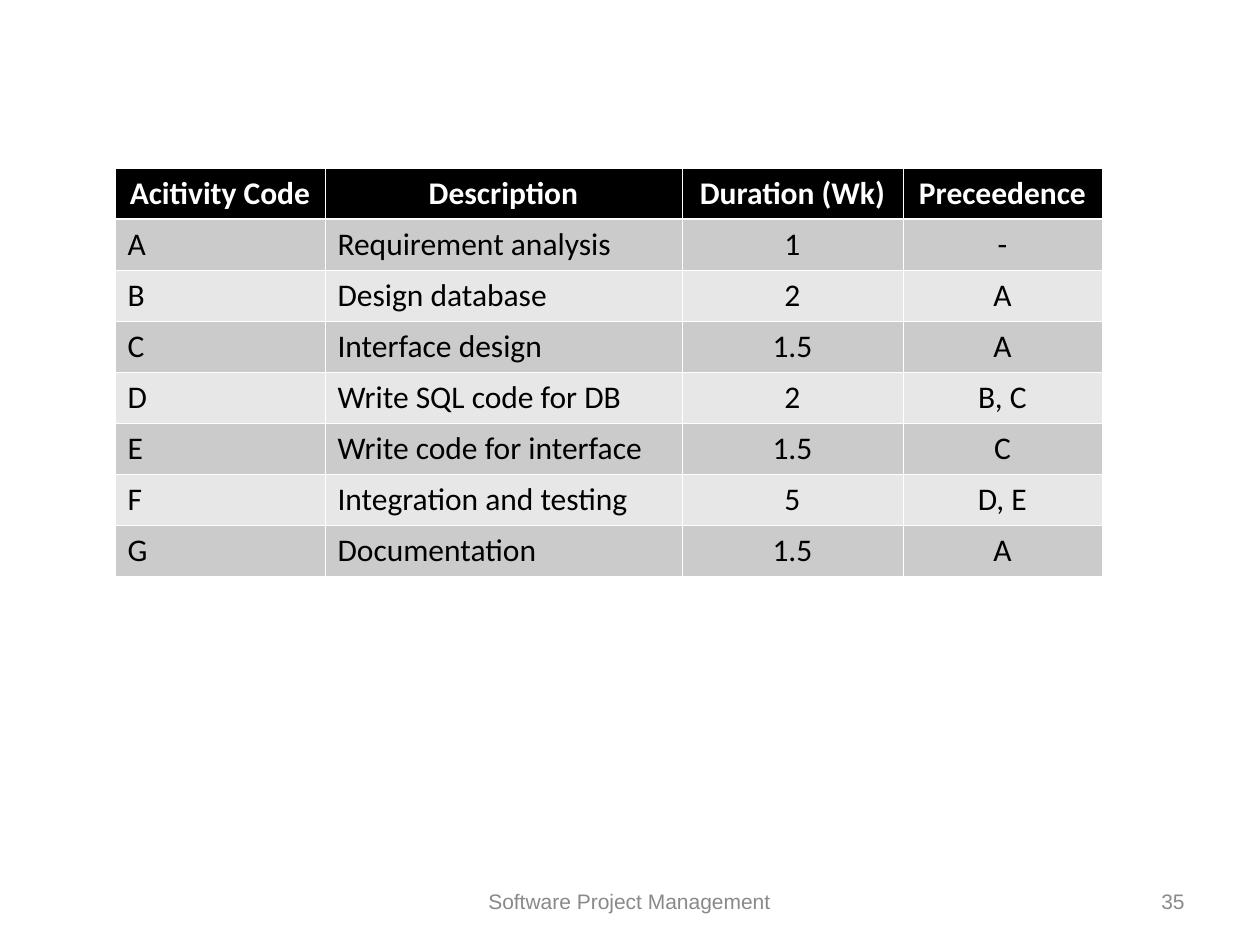
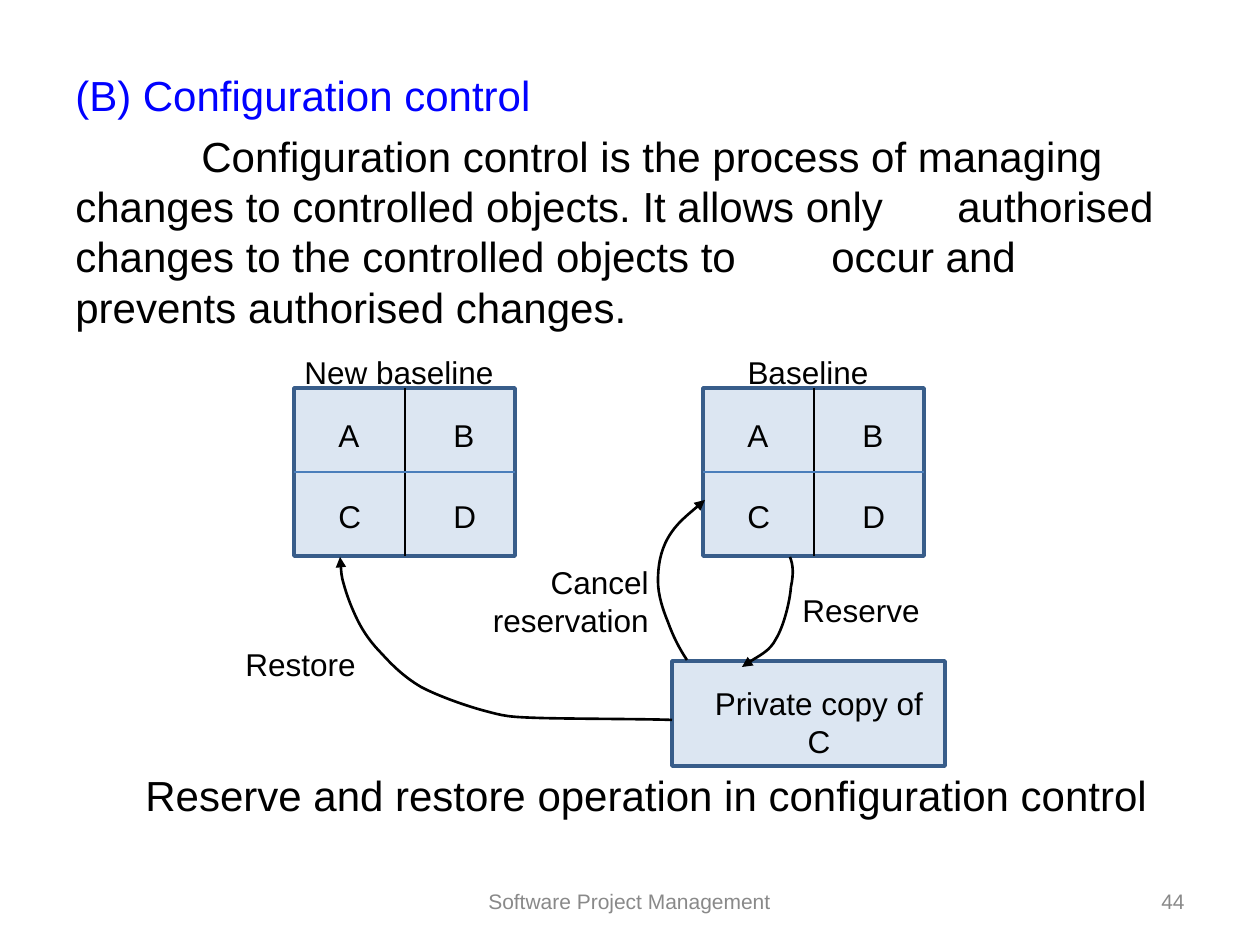
"""Builds two project management slides: an activity table and a configuration control diagram."""
from lxml.etree import SubElement
from pptx import Presentation
from pptx.dml.color import RGBColor
from pptx.enum.shapes import MSO_CONNECTOR as Connector, MSO_SHAPE as Shape
from pptx.enum.text import MSO_ANCHOR as Anchor, PP_ALIGN as Align
from pptx.oxml import parse_xml
from pptx.oxml.ns import nsdecls, qn
from pptx.util import Emu, Pt

PX = 914400 / 126
COLORS = {
    "black": "000000", "white": "FFFFFF", "footer": "898989", "heading": "0101FF",
    "odd_row": "CBCBCB", "even_row": "E7E7E7",
    "box_fill": "DCE6F2", "box_line": "385D8A", "divider": "4A7EBB",
}
FONT, TABLE_FONT = "Arial", "Calibri"
FOOTER = "Software Project Management"

COLUMN_WIDTHS = [210, 357, 221, 199]
ROW_HEIGHT = 51
ACTIVITIES = [
    ("Acitivity Code", "Description", "Duration (Wk)", "Preceedence"),
    ("A", "Requirement analysis", "1", "-"),
    ("B", "Design database", "2", "A"),
    ("C", "Interface design", "1.5", "A"),
    ("D", "Write SQL code for DB", "2", "B, C"),
    ("E", "Write code for interface", "1.5", "C"),
    ("F", "Integration and testing", "5", "D, E"),
    ("G", "Documentation", "1.5", "A"),
]

EXPLANATION = [
    "(B) Configuration control",
    "\tConfiguration control is the process of managing changes to controlled "
    "objects. It allows only\tauthorised changes to the controlled objects "
    "to\toccur and prevents authorised changes.",
    "Reserve and restore operation in configuration control",
]

RESERVE = [(790, 557), (793, 564), (794, 573), (791, 587), (790, 601), (784, 626),
           (776, 639), (770, 651), (753, 659), (742, 667)]
CANCEL = [(687, 660), (679, 648), (673, 636), (668, 622), (663, 610), (658, 595),
          (658, 581), (658, 567), (660, 552), (668, 538), (676, 524), (690, 513),
          (705, 500)]
RESTORE = [(672, 720), (649, 719), (568, 719), (538, 718), (507, 717), (504, 716),
           (485, 711), (466, 706), (438, 696), (421, 687), (404, 677), (392, 665),
           (382, 654), (372, 644), (364, 633), (358, 621), (352, 609), (347, 596),
           (344, 585), (341, 575), (341, 566), (340, 557)]


def px(*lengths):
    return [Emu(round(length * PX)) for length in lengths]


def color(name):
    return RGBColor.from_string(COLORS[name])


def style_runs(paragraph, size, color_name, font=FONT, bold=False):
    for run in paragraph.runs:
        run.font.size = Pt(size)
        run.font.name = font
        run.font.bold = bold
        run.font.color.rgb = color(color_name)


def add_tab_stops(paragraph, count):
    tab_list = SubElement(paragraph._p.get_or_add_pPr(), qn("a:tabLst"))
    for inch in range(1, count + 1):
        SubElement(tab_list, qn("a:tab"), pos=str(inch * 914400), algn="l")


def add_text(slide, text, left, top, width, height, size=18, color_name="black",
             align=Align.LEFT, anchor=Anchor.TOP):
    text_frame = slide.shapes.add_textbox(*px(left, top, width, height)).text_frame
    text_frame.word_wrap = True
    text_frame.vertical_anchor = anchor
    text_frame.text = text
    for paragraph in text_frame.paragraphs:
        paragraph.alignment = align
        paragraph.line_spacing = Pt(round(size * 1.2, 1))
        style_runs(paragraph, size, color_name)
    return text_frame


def add_footer(slide, number):
    for text, left, width, align in ((FOOTER, 430, 399, Align.CENTER),
                                     (str(number), 903, 294, Align.RIGHT)):
        add_text(slide, text, left, 876, width, 50, 12, "footer", align, Anchor.MIDDLE)


def set_borders(cell, row):
    heavy_side = {0: "B", 1: "T"}.get(row)
    properties = cell._tc.get_or_add_tcPr()
    for index, side in enumerate("LRTB"):
        width = Pt(1.47) if side == heavy_side else Pt(0.45)
        properties.insert(index, parse_xml(
            f'<a:ln{side} {nsdecls("a")} w="{width}"><a:solidFill>'
            f'<a:srgbClr val="{COLORS["white"]}"/></a:solidFill></a:ln{side}>'))


def add_activity_table(slide, left, top):
    frame = slide.shapes.add_table(
        len(ACTIVITIES), len(COLUMN_WIDTHS),
        *px(left, top, sum(COLUMN_WIDTHS), ROW_HEIGHT * len(ACTIVITIES)))
    table = frame.table
    for column, width in zip(table.columns, px(*COLUMN_WIDTHS)):
        column.width = width
    for row, values in enumerate(ACTIVITIES):
        table.rows[row].height = px(ROW_HEIGHT)[0]
        header = row == 0
        fill = "black" if header else "odd_row" if row % 2 else "even_row"
        for column, value in enumerate(values):
            cell = table.cell(row, column)
            cell.text_frame.text = value
            paragraph = cell.text_frame.paragraphs[0]
            paragraph.alignment = Align.CENTER if header or column > 1 else Align.LEFT
            style_runs(paragraph, 18, "white" if header else "black", TABLE_FONT, header)
            cell.fill.solid()
            cell.fill.fore_color.rgb = color(fill)
            set_borders(cell, row)


def add_box(slide, left, top, width, height):
    shape = slide.shapes.add_shape(Shape.RECTANGLE, *px(left, top, width, height))
    shape.shadow.inherit = False
    shape.fill.solid()
    shape.fill.fore_color.rgb = color("box_fill")
    shape.line.color.rgb = color("box_line")
    shape.line.width = Pt(2)


def add_line(slide, start, end, color_name):
    line = slide.shapes.add_connector(Connector.STRAIGHT, *px(*start, *end))
    line.line.color.rgb = color(color_name)
    line.line.width = Pt(0.75)
    SubElement(line._element.spPr, qn("a:effectLst"))


def bend_segments(shape):
    """Turn each three line segments of a freeform into one cubic curve."""
    outline = next(shape._element.iter(qn("a:path")))
    segments = outline.findall(qn("a:lnTo"))
    for first in range(0, len(segments), 3):
        curve = SubElement(outline, qn("a:cubicBezTo"))
        for segment in segments[first:first + 3]:
            curve.append(segment[0])
            outline.remove(segment)


def add_curved_arrow(slide, controls):
    start, *rest = controls
    builder = slide.shapes.build_freeform(*start, scale=PX)
    builder.add_line_segments(rest, close=False)
    shape = builder.convert_to_shape()
    bend_segments(shape)
    shape.shadow.inherit = False
    shape.fill.background()
    shape.line.color.rgb = color("black")
    shape.line.width = Pt(1.5)
    SubElement(shape.line._get_or_add_ln(), qn("a:tailEnd"), type="triangle")


def add_baseline(slide, title, left):
    top, width, height = 388, 221, 168
    add_box(slide, left, top, width, height)
    add_line(slide, (left + 111, top), (left + 111, top + height), "black")
    add_line(slide, (left, top + 84), (left + width, top + 84), "divider")
    for index, letter in enumerate("ABCD"):
        row, column = divmod(index, 2)
        add_text(slide, letter, left + 32 + 115 * column, top + 22 + 81 * row, 42, 50)
    add_text(slide, title, left - 21, top - 41, 252, 50, align=Align.CENTER)


def add_explanation(slide):
    text_frame = add_text(slide, "\n".join(EXPLANATION), 63, 63, 1134, 781, 24)
    heading, body, caption = text_frame.paragraphs
    style_runs(heading, 24, "heading")
    body.space_before = Pt(6)
    add_tab_stops(body, 7)
    caption.space_before = Pt(250)
    caption._p.get_or_add_pPr().set("marL", str(px(70)[0]))


def add_control_diagram(slide):
    add_baseline(slide, "New baseline", 294)
    add_baseline(slide, "Baseline", 703)
    add_box(slide, 672, 661, 273, 105)
    add_text(slide, "Private copy of C", 693, 678, 252, 88, align=Align.CENTER)
    for controls in (RESERVE, CANCEL, RESTORE):
        add_curved_arrow(slide, controls)
    add_text(slide, "Restore", 233, 639, 137, 50)
    add_text(slide, "Cancel reservation", 418, 557, 243, 88, align=Align.RIGHT)
    add_text(slide, "Reserve", 790, 585, 145, 50)


def main():
    presentation = Presentation()
    presentation.slide_width, presentation.slide_height = px(1260, 945)
    blank = presentation.slide_layouts[6]

    activities = presentation.slides.add_slide(blank)
    add_activity_table(activities, 115, 168)
    add_footer(activities, 35)

    control = presentation.slides.add_slide(blank)
    add_explanation(control)
    add_footer(control, 44)
    add_control_diagram(control)

    presentation.save("out.pptx")


if __name__ == "__main__":
    main()
